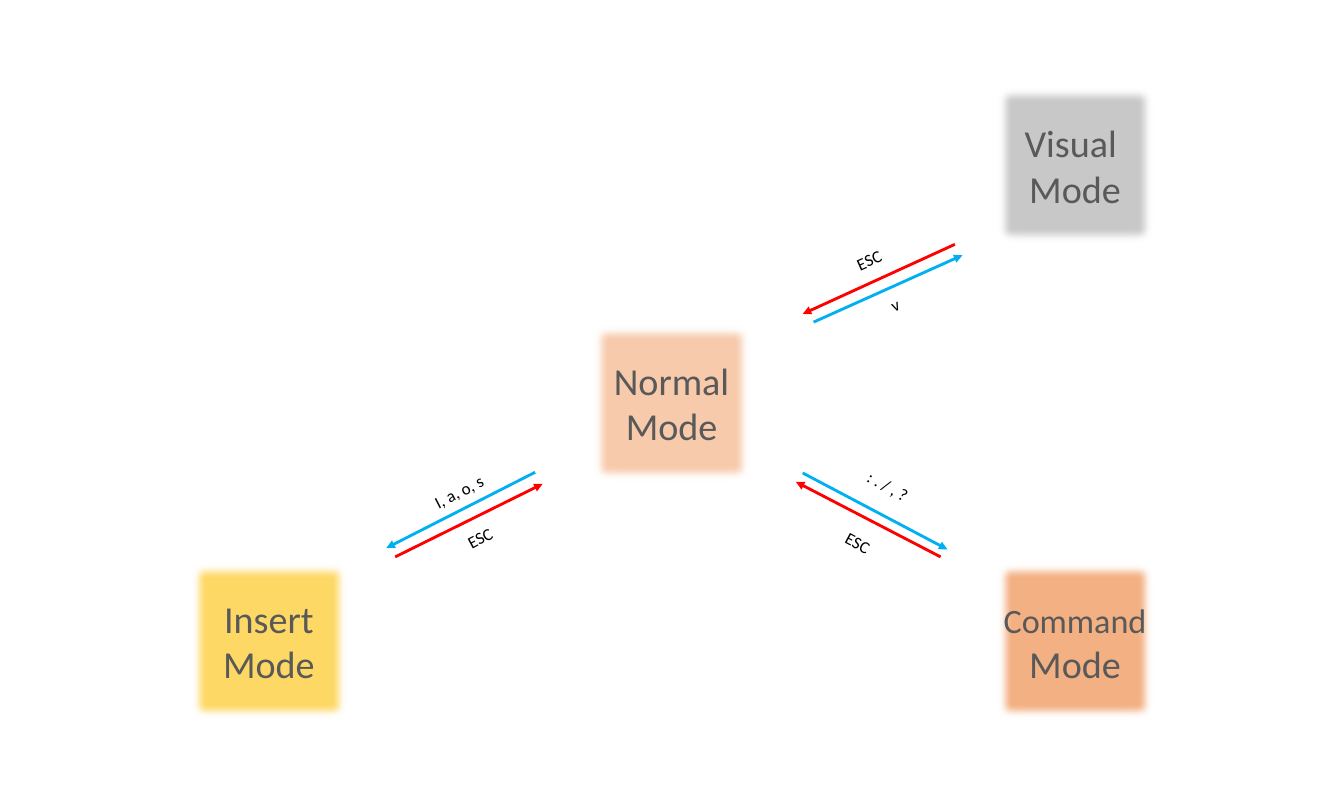
from lxml.etree import SubElement
from pptx import Presentation
from pptx.dml.color import RGBColor
from pptx.enum.shapes import MSO_CONNECTOR, MSO_SHAPE
from pptx.enum.text import MSO_ANCHOR, MSO_AUTO_SIZE, PP_ALIGN
from pptx.oxml.ns import qn
from pptx.util import Inches, Pt


def color(hex_code):
    """Return the RGB colour for a hex string."""
    return RGBColor.from_string(hex_code)


def style(paragraph, size, hex_code):
    """Centre a paragraph and set its font."""
    paragraph.alignment = PP_ALIGN.CENTER
    paragraph.font.name = "Calibri"
    paragraph.font.size = Pt(size)
    paragraph.font.color.rgb = color(hex_code)


prs = Presentation()
prs.slide_width, prs.slide_height = Inches(19.69), Inches(11.81)
slide = prs.slides.add_slide(prs.slide_layouts[6])

# Mode boxes with soft edges
MODE_SIDE = 2.36
modes = [
    (8.66, 4.72, "F8CBAD", ["Normal", "Mode"]),
    (2.76, 8.21, "FFD966", ["Insert", "Mode"]),
    (14.57, 8.21, "F4B183", ["Command Mode"]),
    (14.57, 1.24, "C9C9C9", ["Visual ", "Mode"]),
]
for left, top, fill, lines in modes:
    mode = slide.shapes.add_shape(
        MSO_SHAPE.RECTANGLE, Inches(left), Inches(top), Inches(MODE_SIDE), Inches(MODE_SIDE))
    mode.fill.solid()
    mode.fill.fore_color.rgb = color(fill)
    mode.line.color.rgb = color("325491")
    mode.line.width = Pt(2.25)
    mode.shadow.inherit = False
    effects = mode.element.spPr.find(qn("a:effectLst"))
    SubElement(effects, qn("a:softEdge"), rad=str(Pt(10)))
    frame = mode.text_frame
    frame.word_wrap = True
    frame.vertical_anchor = MSO_ANCHOR.MIDDLE
    frame.text = "\n".join(lines)
    for paragraph in frame.paragraphs:
        style(paragraph, 40.2, "595959")
    if lines == ["Command Mode"]:
        # The long word is slightly smaller so that it fits the box
        name = frame.paragraphs[0].runs[0]
        name.text = "Command"
        name.font.size = Pt(36)
        frame.paragraphs[0].add_run().text = " Mode"

# Arrows: blue leaves normal mode, red returns to it
ENTER, ESCAPE = "00B0F0", "FF0000"
transitions = [
    (11.92, 4.72, 14.1, 3.74, ENTER),
    (5.79, 8.16, 7.95, 7.09, ESCAPE),
    (7.84, 6.92, 5.66, 8.03, ENTER),
    (13.99, 3.58, 11.76, 4.6, ESCAPE),
    (11.76, 6.93, 13.88, 8.05, ENTER),
    (13.78, 8.16, 11.66, 7.06, ESCAPE),
]
for *ends, hex_code in transitions:
    arrow = slide.shapes.add_connector(MSO_CONNECTOR.STRAIGHT, *map(Inches, ends))
    arrow.line.color.rgb = color(hex_code)
    arrow.line.width = Pt(3)
    SubElement(arrow.line._get_or_add_ln(), qn("a:tailEnd"), type="triangle")
    SubElement(arrow.element.spPr, qn("a:effectLst"))

# Keys that trigger each transition
keys = [
    (11.64, 3.61, 336.1, "ESC"),
    (12.02, 4.27, 336.1, "v"),
    (11.92, 6.92, 28.1, ": . / , ?"),
    (11.48, 7.75, 28.1, "ESC"),
    (5.94, 7.68, 331.8, "ESC"),
    (5.63, 7, 332.8, "I, a, o, s"),
]
for left, top, angle, key in keys:
    label = slide.shapes.add_textbox(Inches(left), Inches(top), Inches(2.18), Inches(0.4))
    label.rotation = angle
    label.text_frame.word_wrap = True
    label.text_frame.auto_size = MSO_AUTO_SIZE.SHAPE_TO_FIT_TEXT
    label.text_frame.text = key
    style(label.text_frame.paragraphs[0], 18, "000000")

prs.save("out.pptx")
